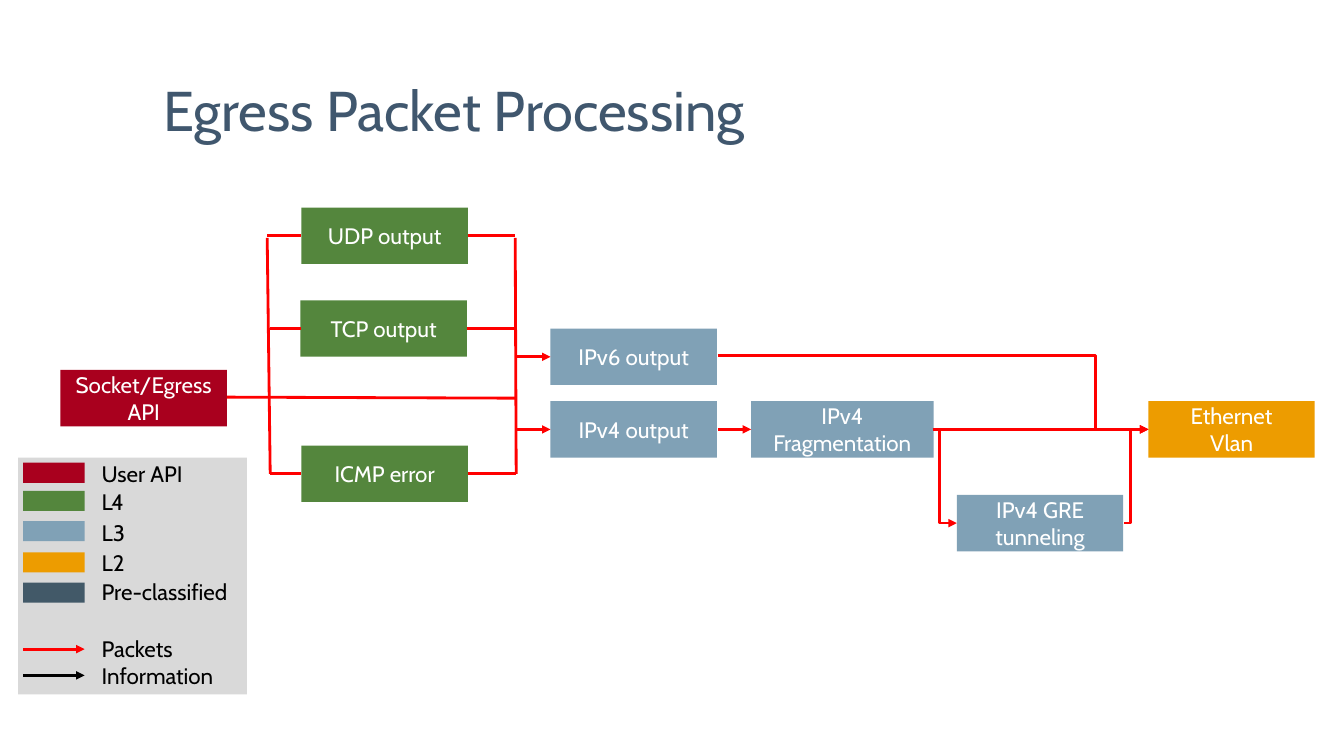
from lxml import etree
from pptx import Presentation
from pptx.dml.color import RGBColor
from pptx.enum.shapes import MSO_CONNECTOR, MSO_SHAPE
from pptx.enum.text import MSO_ANCHOR, MSO_AUTO_SIZE, PP_ALIGN
from pptx.oxml.ns import qn
from pptx.util import Inches, Pt

RECTANGLE = MSO_SHAPE.RECTANGLE
STRAIGHT, ELBOW = MSO_CONNECTOR.STRAIGHT, MSO_CONNECTOR.ELBOW
LEFT, CENTER = PP_ALIGN.LEFT, PP_ALIGN.CENTER
MIDDLE = MSO_ANCHOR.MIDDLE
GROW = MSO_AUTO_SIZE.SHAPE_TO_FIT_TEXT

FONT = "Cabin"
COLORS = {
    "title": "40576E", "api": "A9001E", "l4": "54863D", "l3": "80A1B6",
    "l2": "ED9C00", "classified": "425968", "panel": "D9D9D9",
    "packets": "FF0000", "information": "000000",
    "dark": "000000", "light": "FFFFFF",
}


def add_block(shapes, left, top, width, height, text="", fill=None):
    """Add a filled, centred box, or a left-aligned label when there is no fill."""
    area = [Inches(value) for value in (left, top, width, height)]
    if fill:
        box = shapes.add_shape(RECTANGLE, *area)
        box.shadow.inherit = False
        box.fill.solid()
        box.fill.fore_color.rgb = RGBColor.from_string(COLORS[fill])
        box.line.fill.background()
        box.text_frame.vertical_anchor = MIDDLE
    else:
        box = shapes.add_textbox(*area)
        box.text_frame.auto_size = GROW
    box.text_frame.word_wrap = True
    if text:
        box.text_frame.text = text
    for para in box.text_frame.paragraphs:
        para.alignment = CENTER if fill else LEFT
        for span in para.runs:
            span.font.name = FONT
            span.font.size = Pt(16)
            span.font.color.rgb = RGBColor.from_string(COLORS["light" if fill else "dark"])


def add_flow(shapes, start, end, color="packets", arrow=False, bend=None):
    """Add a line; bend is the share of the width at which an elbow turns."""
    points = [Inches(value) for value in (*start, *end)]
    line = shapes.add_connector(STRAIGHT if bend is None else ELBOW, *points)
    line.line.width = Pt(2)
    line.line.color.rgb = RGBColor.from_string(COLORS[color])
    properties = line._element.spPr
    if arrow:
        etree.SubElement(properties.find(qn("a:ln")), qn("a:tailEnd"), type="triangle")
    etree.SubElement(properties, qn("a:effectLst"))
    if bend is not None:
        guides = properties.find(qn("a:prstGeom")).find(qn("a:avLst"))
        etree.SubElement(guides, qn("a:gd"), name="adj1", fmla=f"val {round(bend * 100000)}")


deck = Presentation()
deck.slide_width, deck.slide_height = Inches(13.33), Inches(7.5)
page = deck.slides.add_slide(deck.slide_layouts[5])

# Title
title = page.shapes.title
title.left, title.top = Inches(1.52), Inches(0.4)
title.width, title.height = Inches(10.9), Inches(1.45)
title.text_frame.text = "Egress Packet Processing"
title.text_frame.vertical_anchor = MIDDLE
heading = title.text_frame.paragraphs[0]
heading.alignment = LEFT
heading.line_spacing = 0.9
heading.runs[0].font.name = FONT
heading.runs[0].font.size = Pt(40)
heading.runs[0].font.color.rgb = RGBColor.from_string(COLORS["title"])

# Processing stages
for left, top, width, text, layer in [
    (0.6, 3.67, 1.65, "Socket/Egress API", "api"),
    (5.46, 3.98, 1.65, "IPv4 output", "l3"),
    (2.99, 2.06, 1.65, "UDP output", "l4"),
    (2.98, 2.98, 1.65, "TCP output", "l4"),
    (2.99, 4.42, 1.65, "ICMP error", "l4"),
    (5.46, 3.26, 1.65, "IPv6 output", "l3"),
    (9.49, 4.91, 1.65, "IPv4 GRE tunneling", "l3"),
    (11.39, 3.98, 1.65, "Ethernet\nVlan", "l2"),
    (7.45, 3.98, 1.81, "IPv4 Fragmentation", "l3"),
]:
    add_block(page.shapes, left, top, width, 0.56, text, layer)

# Legend
legend = page.shapes.add_group_shape().shapes
add_block(legend, 0.18, 4.54, 2.27, 2.35, fill="panel")
for swatch_top, label_top, text, layer in [
    (4.59, 4.52, "User API", "api"),
    (4.87, 4.79, "L4", "l4"),
    (5.17, 5.1, "L3", "l3"),
    (5.48, 5.4, "L2", "l2"),
    (5.78, 5.69, "Pre-classified", "classified"),
]:
    add_block(legend, 0.23, swatch_top, 0.61, 0.2, fill=layer)
    add_block(legend, 0.91, label_top, 1.54, 0.37, text)
for top, kind in [(6.44, "packets"), (6.7, "information")]:
    add_flow(legend, (0.23, top), (0.84, top), kind, arrow=True)
add_block(legend, 0.91, 6.25, 1.42, 0.64, "Packets\vInformation")

# Straight arrows between stages
for start, end, y in [(7.12, 7.45, 4.26), (9.25, 11.39, 4.26),
                      (5.13, 5.46, 3.54), (5.13, 5.46, 4.26)]:
    add_flow(page.shapes, (start, y), (end, y), arrow=True)

# Elbow arrows around fragmentation and tunneling
for start, end, bend in [
    ((7.12, 3.53), (11.39, 4.26), 0.877),
    ((9.25, 4.26), (9.49, 5.19), 0.269),
    ((11.15, 5.19), (11.39, 4.26), 0.269),
]:
    add_flow(page.shapes, start, end, arrow=True, bend=bend)

# Bus lines joining the socket and the L4 outputs
for start, end in [
    ((2.25, 3.94), (5.12, 3.95)),
    ((2.68, 4.7), (2.65, 2.36)),
    ((5.12, 4.7), (5.11, 2.36)),
    ((2.65, 2.34), (2.99, 2.34)),
    ((2.68, 3.26), (2.99, 3.26)),
    ((2.68, 4.7), (2.99, 4.7)),
    ((4.64, 2.34), (5.11, 2.34)),
    ((4.63, 3.26), (5.11, 3.26)),
    ((4.64, 4.7), (5.12, 4.7)),
]:
    add_flow(page.shapes, start, end)

deck.save("out.pptx")
